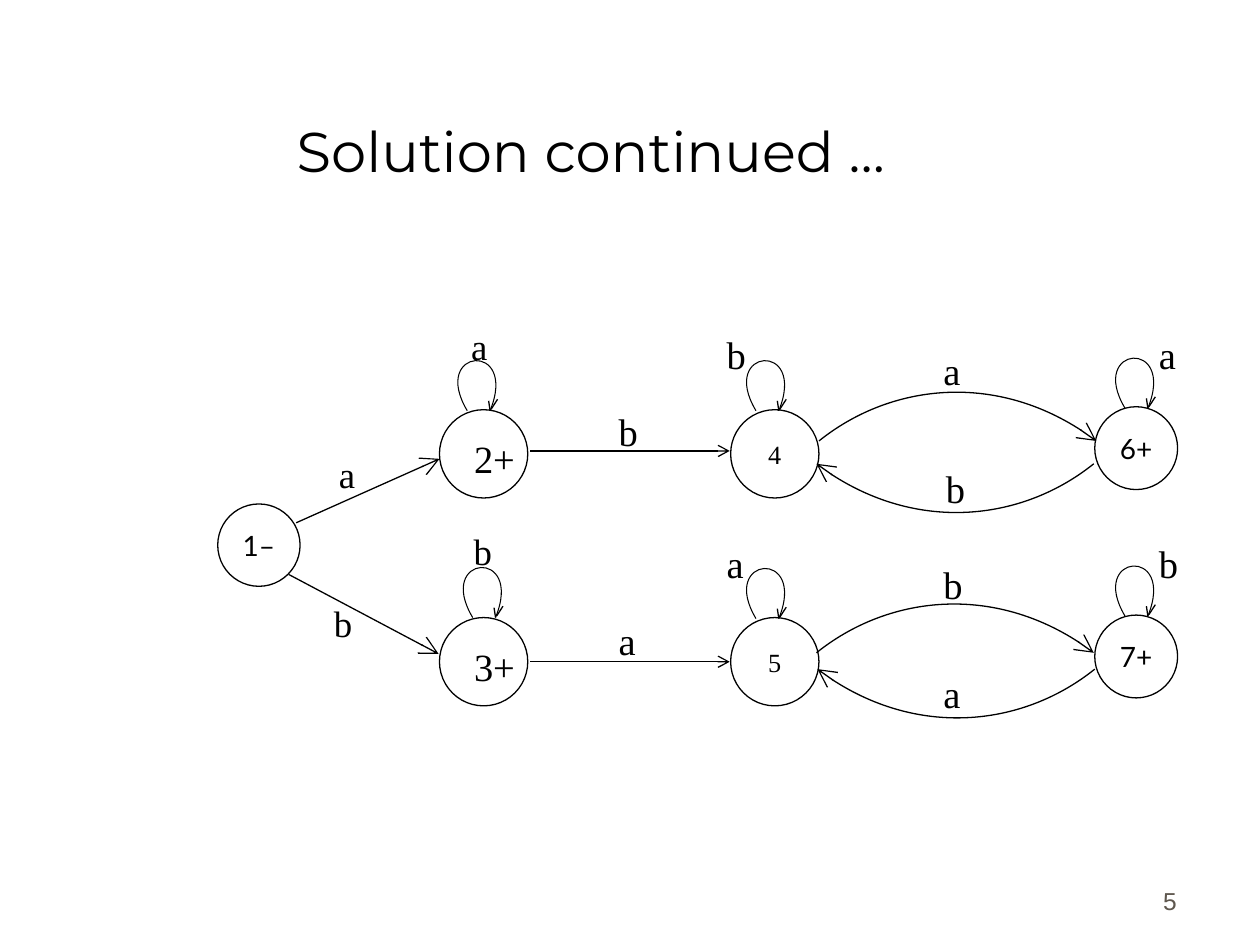
from typing import NamedTuple

from lxml.etree import SubElement
from pptx import Presentation
from pptx.dml.color import RGBColor
from pptx.enum.shapes import MSO_CONNECTOR, MSO_SHAPE
from pptx.enum.text import MSO_ANCHOR, PP_ALIGN
from pptx.oxml.ns import qn
from pptx.util import Cm, Pt

COLORS = {"ink": "000000", "paper": "FFFFFF", "number": "5E574E"}
SERIF = "Times New Roman"
SANS = "Lato"


class Point(NamedTuple):
    x: float
    y: float

    def shifted(self, dx: float, dy: float) -> "Point":
        return Point(self.x + dx, self.y + dy)


class State(NamedTuple):
    name: str
    left: float
    top: float
    diameter: float
    font: str
    size: float
    inset: tuple[float, float] = (0, 0)  # left and top


class Label(NamedTuple):
    text: str
    left: float
    top: float
    width: float
    height: float
    size: float = 22
    font: str = SERIF
    color: str = "ink"
    align: PP_ALIGN = PP_ALIGN.LEFT
    anchor: MSO_ANCHOR = MSO_ANCHOR.TOP


class Edge(NamedTuple):
    start: Point
    end: Point
    head: str


STATES = [
    State("1–", 4.39, 10.16, 1.66, SANS, 16),
    State("2+", 8.86, 8.26, 1.78, SERIF, 22, (0.44, 0.16)),
    State("3+", 8.86, 12.45, 1.78, SERIF, 22, (0.44, 0.16)),
    State("4", 14.73, 8.26, 1.78, SERIF, 15),
    State("5", 14.73, 12.45, 1.78, SERIF, 15),
    State("6+", 22.07, 8.2, 1.67, SANS, 16),
    State("7+", 22.07, 12.4, 1.67, SANS, 16),
]

LABELS = [
    Label("Solution continued …", 1.12, 0.64, 21.59, 3.18, 32, "Montserrat",
          align=PP_ALIGN.CENTER, anchor=MSO_ANCHOR.BOTTOM),
    Label("a", 6.58, 8.99, 1.78, 1.8, 21),
    Label("b", 6.48, 11.99, 1.78, 1.37, 21),
    Label("a", 9.25, 6.4, 1.78, 1.8, 21),
    Label("b", 9.3, 10.54, 1.78, 1.37, 21),
    Label("b", 12.22, 8.1, 2.49, 1.7),
    Label("a", 12.22, 12.32, 2.49, 1.7),
    Label("b", 14.4, 6.55, 2.49, 1.7),
    Label("a", 14.4, 10.77, 2.49, 1.7),
    Label("a", 18.77, 6.88, 1.04, 1.02),
    Label("b", 18.82, 9.25, 1.24, 1.27),
    Label("b", 18.77, 11.18, 1.04, 1.02),
    Label("a", 18.77, 13.39, 1.24, 1.27),
    Label("a", 23.11, 6.55, 2.2, 1.7),
    Label("b", 23.11, 10.77, 2.2, 1.7),
    Label("5", 18.69, 17.3, 5.28, 1.27, 14, "Arial", "number",
          PP_ALIGN.RIGHT, MSO_ANCHOR.BOTTOM),
]

EDGES = [
    Edge(Point(5.97, 10.54), Point(8.86, 9.25), "lg"),
    Edge(Point(5.82, 11.58), Point(8.84, 13.18), "lg"),
    Edge(Point(10.69, 9.09), Point(14.71, 9.09), "med"),
    Edge(Point(10.69, 13.34), Point(14.71, 13.34), "med"),
]

LOOP_STARTS = [Point(9.42, 8.28), Point(9.53, 12.45), Point(15.24, 8.28),
               Point(15.24, 12.47), Point(22.68, 8.23), Point(22.68, 12.42)]
LOOP_BENDS = [(-0.76, -1.27), (1.04, -1.42), (0.46, 0)]
LOOP_TICKS = [((0.48, -0.03), (0.61, -0.23)), ((0.43, -0.2), (0.46, 0))]

FORWARD_STARTS = [Point(16.51, 8.89), Point(16.46, 13.16)]
RETURN_STARTS = [Point(22.05, 9.35), Point(22.07, 13.49)]
FORWARD_BENDS = [(1.42, -1.14), (3.73, -1.42), (5.59, 0)]
RETURN_BENDS = [(-dx, -dy) for dx, dy in FORWARD_BENDS]


def rgb(name: str) -> RGBColor:
    return RGBColor.from_string(COLORS[name])


def style_line(shape, width: float = 0.75, head: str = "") -> None:
    """Ink the outline; head is the arrowhead size, or empty for none."""
    shape.line.color.rgb = rgb("ink")
    shape.line.width = Pt(width)
    if head:
        SubElement(shape.line._get_or_add_ln(), qn("a:tailEnd"),
                   {"type": "arrow", "w": head, "len": head})


def write(frame, text: str, font: str, size: float, color: str, align: PP_ALIGN) -> None:
    para = frame.paragraphs[0]
    para.alignment = align
    span = para.add_run()
    span.text = text
    span.font.name = font
    span.font.size = Pt(size)
    span.font.color.rgb = rgb(color)


def draw_state(page, state: State) -> None:
    circle = page.shapes.add_shape(MSO_SHAPE.OVAL, Cm(state.left), Cm(state.top),
                                   Cm(state.diameter), Cm(state.diameter))
    circle.shadow.inherit = False
    circle.fill.solid()
    circle.fill.fore_color.rgb = rgb("paper")
    style_line(circle)
    frame = circle.text_frame
    frame.word_wrap = False
    frame.vertical_anchor = MSO_ANCHOR.MIDDLE
    frame.margin_left, frame.margin_top = map(Cm, state.inset)
    frame.margin_right = frame.margin_bottom = 0
    write(frame, state.name, state.font, state.size, "ink", PP_ALIGN.CENTER)


def draw_label(page, label: Label) -> None:
    box = page.shapes.add_textbox(Cm(label.left), Cm(label.top),
                                  Cm(label.width), Cm(label.height))
    frame = box.text_frame
    frame.word_wrap = True
    frame.vertical_anchor = label.anchor
    write(frame, label.text, label.font, label.size, label.color, label.align)


def draw_edge(page, edge: Edge) -> None:
    connector = page.shapes.add_connector(
        MSO_CONNECTOR.STRAIGHT, *map(Cm, edge.start), *map(Cm, edge.end))
    style_line(connector, head=edge.head)
    SubElement(connector._element.spPr, qn("a:effectLst"))


def draw_curve(page, start: Point, bends: list, width: float = 0.75, head: str = "") -> None:
    """Draw one cubic curve; bends are two control points and the end, from start."""
    builder = page.shapes.build_freeform(*map(Cm, start))
    corners = [start.shifted(*bend) for bend in bends]
    builder.add_line_segments([(Cm(x), Cm(y)) for x, y in corners], close=False)
    curve = builder.convert_to_shape()
    outline = curve._element.find(".//" + qn("a:path"))
    segments = outline.findall(qn("a:lnTo"))
    cubic = SubElement(outline, qn("a:cubicBezTo"))
    for segment in segments:
        cubic.append(segment[0])
        outline.remove(segment)
    curve.shadow.inherit = False
    curve.fill.background()
    style_line(curve, width, head)


def draw_loop(page, start: Point) -> None:
    draw_curve(page, start, LOOP_BENDS, width=0.6)
    for begin, end in LOOP_TICKS:
        draw_edge(page, Edge(start.shifted(*begin), start.shifted(*end), ""))


def main() -> None:
    deck = Presentation()
    deck.slide_width, deck.slide_height = Cm(25.4), Cm(19.05)
    page = deck.slides.add_slide(deck.slide_layouts[6])
    for state in STATES:
        draw_state(page, state)
    for edge in EDGES:
        draw_edge(page, edge)
    for start in FORWARD_STARTS:
        draw_curve(page, start, FORWARD_BENDS, head="lg")
    for start in RETURN_STARTS:
        draw_curve(page, start, RETURN_BENDS, head="lg")
    for start in LOOP_STARTS:
        draw_loop(page, start)
    for label in LABELS:
        draw_label(page, label)
    deck.save("out.pptx")


if __name__ == "__main__":
    main()
